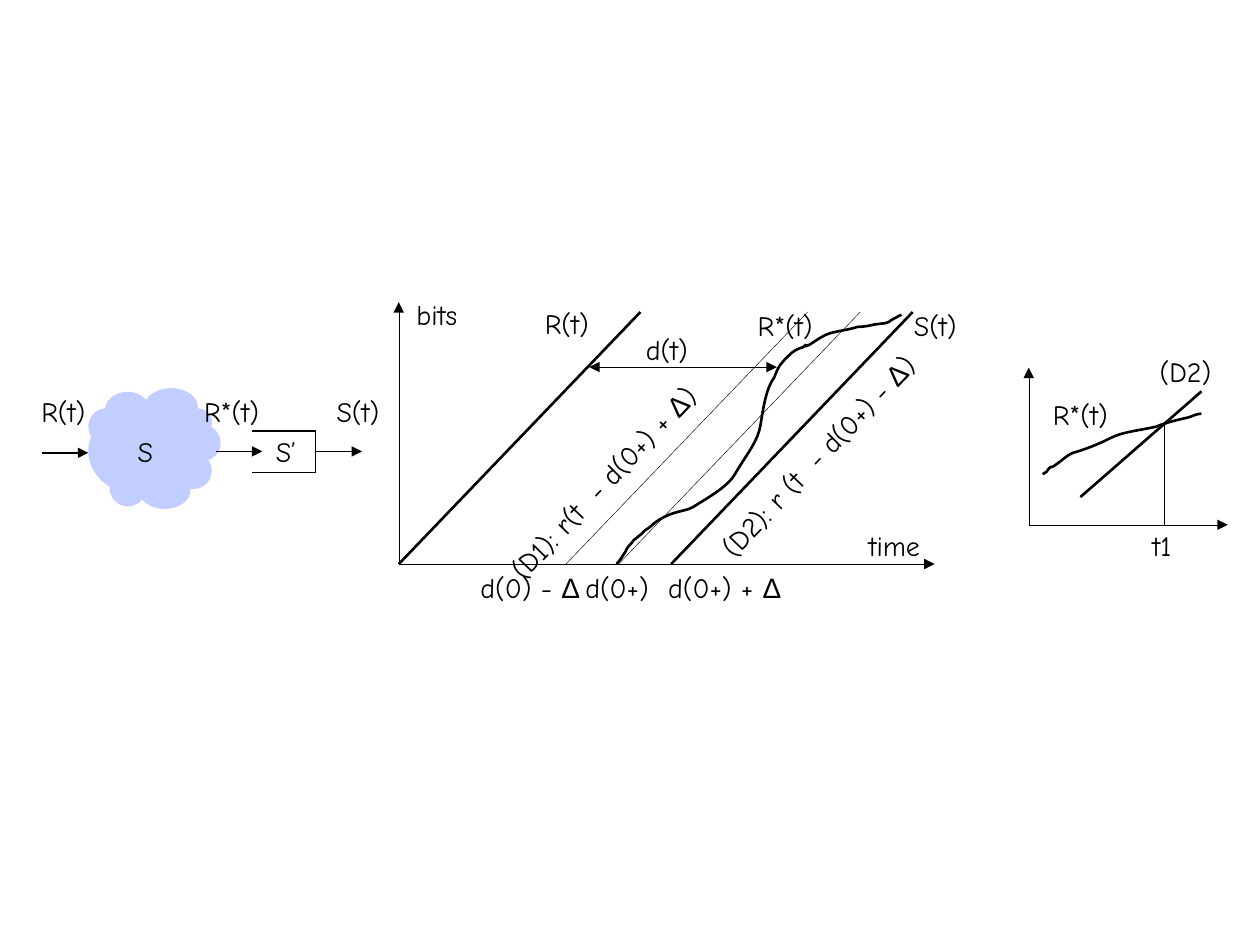
from dataclasses import dataclass, replace
from itertools import groupby
from typing import Any

from lxml.etree import SubElement
from pptx import Presentation
from pptx.dml.color import RGBColor
from pptx.enum.shapes import MSO_CONNECTOR, MSO_SHAPE
from pptx.enum.text import MSO_ANCHOR, MSO_AUTO_SIZE, PP_ALIGN
from pptx.oxml.ns import qn
from pptx.util import Cm, Pt


@dataclass(frozen=True)
class Theme:
    ink: RGBColor = RGBColor(0, 0, 0)
    cloud: RGBColor = RGBColor(0xC1, 0xCE, 0xFF)
    font: str = "Comic Neue"
    symbol_font: str = "Arial"
    size: Pt = Pt(16)
    thin: Pt = Pt(0.25)
    medium: Pt = Pt(0.75)
    thick: Pt = Pt(1.5)


THEME = Theme()
SLOPE_ANGLE = 313.7
LABEL_HEIGHT = 0.94


@dataclass
class Box:
    """A region in cm; positions inside it run right and up from its lower left corner."""
    shapes: Any
    left: float
    top: float
    width: float
    height: float

    def at(self, x, y):
        return Cm(self.left + x), Cm(self.top + self.height - y)

    def grouped(self):
        return replace(self, shapes=self.shapes.add_group_shape().shapes)


def add_line(box, start, end, weight=THEME.thin, head=False, tail=False):
    line = box.shapes.add_connector(MSO_CONNECTOR.STRAIGHT, *box.at(*start), *box.at(*end))
    line.line.color.rgb = THEME.ink
    line.line.width = weight
    outline = line.line._get_or_add_ln()
    for wanted, tag in ((head, "a:headEnd"), (tail, "a:tailEnd")):
        if wanted:
            SubElement(outline, qn(tag), type="triangle")
    SubElement(line._element.spPr, qn("a:effectLst"))


def add_label(box, text, x, y, width, rotation=0):
    """Place a line of text in a box around x, y, with each Δ in the symbol font."""
    left, top = box.at(x - width / 2, y + LABEL_HEIGHT / 2)
    label = box.shapes.add_textbox(left, top, Cm(width), Cm(LABEL_HEIGHT))
    label.rotation = rotation
    frame = label.text_frame
    frame.word_wrap = bool(rotation)
    frame.auto_size = MSO_AUTO_SIZE.SHAPE_TO_FIT_TEXT
    frame.vertical_anchor = MSO_ANCHOR.MIDDLE
    paragraph = frame.paragraphs[0]
    paragraph.alignment = PP_ALIGN.CENTER if rotation else PP_ALIGN.LEFT
    for is_symbol, letters in groupby(text, key=lambda letter: letter == "Δ"):
        run = paragraph.add_run()
        run.text = "".join(letters)
        run.font.name = THEME.symbol_font if is_symbol else THEME.font
        run.font.size = THEME.size
        run.font.color.rgb = THEME.ink


def add_open_path(box, points, weight):
    start, *rest = [box.at(*point) for point in points]
    builder = box.shapes.build_freeform(*start)
    builder.add_line_segments(rest, close=False)
    outline = builder.convert_to_shape()
    outline.shadow.inherit = False
    outline.fill.background()
    outline.line.color.rgb = THEME.ink
    outline.line.width = weight
    return outline


def add_curve(box, points, weight):
    """Draw cubic segments: a start, then two control points and an end for each."""
    curve = add_open_path(box, points, weight)
    steps = list(curve._element.iter(qn("a:lnTo")))
    for first, second, third in zip(steps[::3], steps[1::3], steps[2::3]):
        first.tag = qn("a:cubicBezTo")
        for step in (second, third):
            first.append(step[0])
            step.getparent().remove(step)


def add_axes(box):
    add_line(box, (0, 0), (box.width, 0), tail=True)
    add_line(box, (0, 0), (0, box.height), tail=True)


def add_cloud(box):
    puffs = [  # centre x, centre y, width, height
        (2.36, 1.16, 2.34, 1.85), (2.86, 2.04, 1.09, 0.79), (3.38, 1.75, 0.61, 0.56),
        (3.49, 1.33, 0.74, 0.74), (3.31, 0.77, 0.74, 0.74), (1.99, 0.42, 0.74, 0.74),
        (2.73, 0.37, 1.04, 0.74), (1.56, 1.66, 0.74, 0.74), (1.98, 1.99, 0.91, 0.74),
    ]
    for x, y, width, height in puffs:
        puff = box.shapes.add_shape(
            MSO_SHAPE.OVAL, *box.at(x - width / 2, y + height / 2), Cm(width), Cm(height))
        puff.shadow.inherit = False
        puff.fill.solid()
        puff.fill.fore_color.rgb = THEME.cloud
        puff.line.fill.background()


def add_network(box):
    """The system S as a cloud, followed by the buffer S’."""
    add_cloud(box.grouped())
    for x, y in ((0.25, 1.13), (3.76, 1.16), (5.77, 1.16)):
        add_line(box, (x, y), (x + 0.94, y), THEME.medium, tail=True)
    buffer = [(4.5, 0.74), (5.77, 0.74), (5.77, 1.57), (4.5, 1.57)]
    add_open_path(box, buffer, THEME.medium)
    for text, x, y, width in (
            ("R(t)", 0.77, 1.97, 1.55), ("R*(t)", 4.2, 1.97, 1.85), ("S(t)", 6.73, 1.97, 1.57),
            ("S", 2.39, 1.16, 0.91), ("S’", 5.23, 1.16, 1.02)):
        add_label(box, text, x, y, width)


def add_delay_plot(box):
    """Bits over time: the input R, the output R* and its bounds D1 and D2."""
    curves = box.grouped()
    add_axes(curves)
    run, rise = 4.87, 5.08
    delay, delta = 4.43, 1.06
    for start, weight in ((0, THEME.thick), (delay - delta, THEME.thin),
                          (delay, THEME.thin), (delay + delta, THEME.thick)):
        add_line(curves, (start, 0), (start + run, rise), weight)
    output = [
        (4.39, 0), (4.47, 0.08), (4.52, 0.18), (4.57, 0.25), (4.6, 0.33), (4.65, 0.38),
        (4.7, 0.43), (4.72, 0.46), (4.75, 0.51), (4.8, 0.53), (4.83, 0.56), (4.9, 0.61),
        (4.9, 0.61), (4.95, 0.69), (5.03, 0.71), (5.08, 0.76), (5.21, 0.89), (5.41, 0.99),
        (5.59, 1.04), (5.69, 1.07), (5.82, 1.09), (5.92, 1.14), (6.17, 1.3), (6.45, 1.45),
        (6.65, 1.65), (6.76, 1.75), (6.81, 1.88), (6.88, 1.98), (7.04, 2.24), (7.24, 2.49),
        (7.29, 2.79), (7.34, 3.07), (7.39, 3.53), (7.57, 3.76), (7.65, 3.99), (7.7, 4.04),
        (7.85, 4.19), (7.95, 4.29), (8.03, 4.34), (8.15, 4.37), (8.31, 4.5), (8.05, 4.32),
        (8.28, 4.42), (8.41, 4.5), (8.53, 4.6), (8.69, 4.65), (8.86, 4.7), (9.07, 4.72),
        (9.25, 4.78), (9.37, 4.78), (9.47, 4.8), (9.6, 4.83), (9.65, 4.83), (9.73, 4.85),
        (9.78, 4.85), (9.8, 4.85), (9.88, 4.88), (9.88, 4.88), (9.93, 4.93), (10.01, 4.95),
        (10.08, 5), (10.11, 5), (10.13, 5.03), (10.13, 5.03),
    ]
    add_curve(curves, output, THEME.thick)
    for text, x, y, width in (
            ("R(t)", 3.47, 4.86, 1.55), ("R*(t)", 7.91, 4.82, 1.85), ("S(t)", 10.92, 4.82, 1.57),
            ("time", 10.06, 0.37, 1.68), ("bits", 0.88, 5.04, 1.55)):
        add_label(curves, text, x, y, width)
    for text, x, width in (("d(0+)", 4.45, 1.88), ("d(0) - Δ", 2.65, 2.51),
                           ("d(0+) + Δ", 6.59, 2.82)):
        add_label(box, text, x, -0.48, width)
    add_label(box, "(D1): r(t  - d(0+) + Δ) ", 4.18, 1.71, 7.16, SLOPE_ANGLE)
    add_label(box, "(D2): r (t  - d(0+) - Δ) ", 8.51, 2.25, 6.32, SLOPE_ANGLE)
    add_line(box, (3.84, 3.97), (7.62, 3.97), head=True, tail=True)
    add_label(box, "d(t)", 5.49, 4.33, 1.52)


def add_crossing_plot(box):
    """The output R* meeting the bound D2 at time t1."""
    add_axes(box)
    output = [
        (0.28, 1.02), (0.3, 1.04), (0.33, 1.04), (0.36, 1.07), (0.38, 1.09), (0.38, 1.12),
        (0.41, 1.14), (0.43, 1.17), (0.46, 1.17), (0.48, 1.17), (0.61, 1.24), (0.76, 1.4),
        (0.89, 1.45), (1.14, 1.52), (1.42, 1.63), (1.65, 1.75), (1.91, 1.88), (2.29, 1.91),
        (2.57, 1.98), (2.77, 2.06), (2.97, 2.11), (3.2, 2.16), (3.28, 2.18), (3.38, 2.24),
        (3.48, 2.24),
    ]
    add_curve(box, output, THEME.thick)
    add_line(box, (1.04, 0.56), (3.48, 2.69), THEME.thick)
    add_line(box, (2.74, 2.03), (2.74, 0))
    for text, x, y, width in (("t1", 2.76, -0.42, 1.04), ("R*(t)", 1.16, 2.22, 1.85),
                              ("(D2)", 3.23, 3.09, 1.68)):
        add_label(box, text, x, y, width)


def main():
    deck = Presentation()
    deck.slide_width, deck.slide_height = Cm(25.4), Cm(19.05)
    shapes = deck.slides.add_slide(deck.slide_layouts[6]).shapes
    add_delay_plot(Box(shapes, 8.04, 6.09, 10.8, 5.28))
    add_network(Box(shapes, 0.59, 7.82, 7.52, 2.44))
    add_crossing_plot(Box(shapes, 20.74, 7.41, 4.01, 3.17))
    deck.save("out.pptx")


if __name__ == "__main__":
    main()
